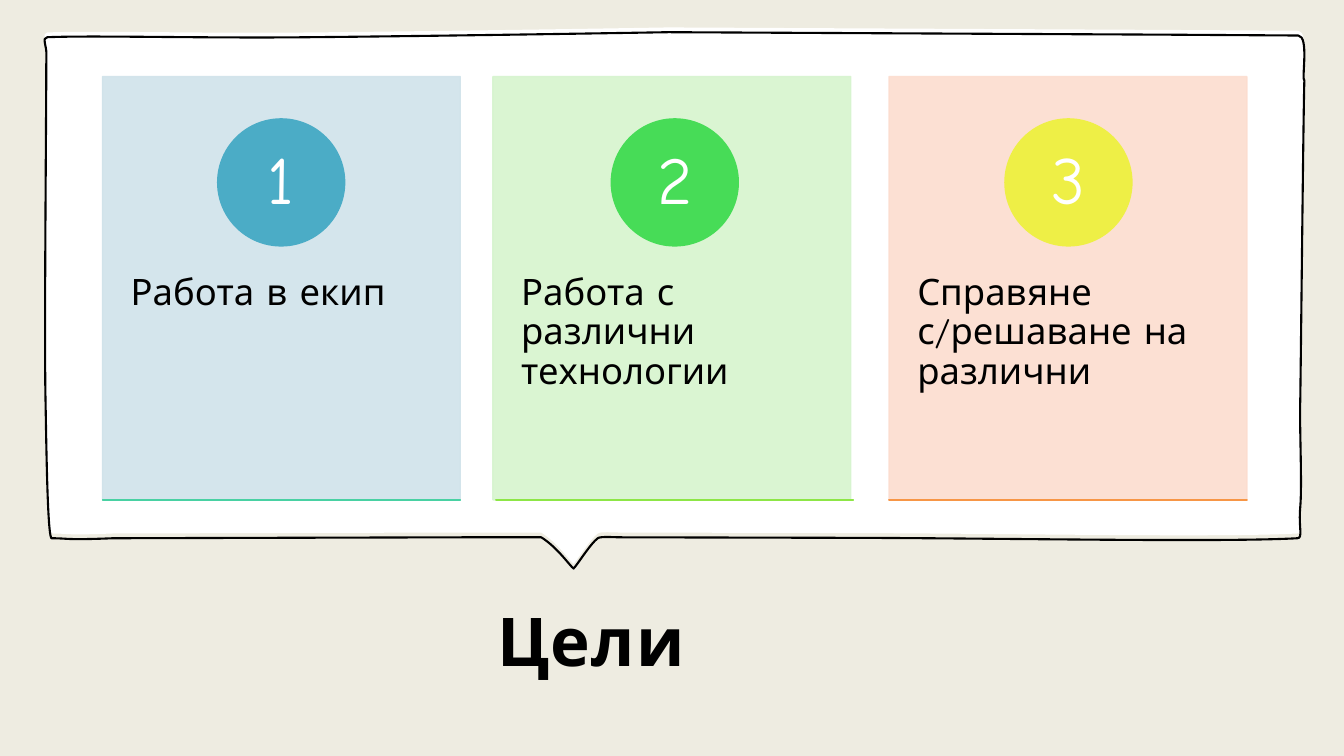
from lxml import etree
from pptx import Presentation
from pptx import util as u
from pptx.dml.color import RGBColor
from pptx.enum import shapes, text
from pptx.oxml.ns import qn

Pt = u.Pt
FONT = "Comic Neue"
BACKGROUND = RGBColor(0xEE, 0xEC, 0xE1)
BLACK = RGBColor(0, 0, 0)
WHITE = RGBColor(255, 255, 255)

TITLE = "Цели"
# Text, card left, underline left, card colour, badge colour, underline colour
GOALS = [
    ("Работа в екип", 73.2, 73.2, RGBColor(0xD0, 0xE3, 0xEA),
     RGBColor(0x4B, 0xAC, 0xC6), RGBColor(0x49, 0xD1, 0xA3)),
    ("Работа с различни технологии", 352.08, 354.24, RGBColor(0xD6, 0xF4, 0xCE),
     RGBColor(0x47, 0xDC, 0x57), RGBColor(0x8D, 0xE6, 0x46)),
    ("Справяне с/решаване на различни", 635.04, 635.04, RGBColor(0xFC, 0xDD, 0xCF),
     RGBColor(0xEE, 0xEF, 0x46), RGBColor(0xF7, 0x96, 0x46)),
]
CARD_TOP, CARD_WIDTH, CARD_HEIGHT = 54.72, 255.6, 302.4
TEXT_TOP, TEXT_HEIGHT = 169.92, 181.44
BADGE_LEFT, BADGE_PITCH, BADGE_TOP, BADGE_SIZE = 155.52, 281.16, 84.96, 90.72
NUMBER_INSET = 13.32

# Speech bubble outline: two numbers are a line, six are a Bezier curve
BUBBLE_START = (835.2, 24.8)
BUBBLE = [
    (927.4, 25.4),
    (935.3, 25.9, 929.5, 56.9, 931.7, 57.6),
    (931, 79.9, 929.5, 234.7, 928.8, 285.8),
    (928.1, 302.4, 930.2, 344.9, 928.8, 362.2),
    (927.4, 376.6, 931, 384.5, 926.6, 384.5),
    (873.4, 387.4, 717.8, 384.5, 612, 384.2),
    (442.8, 383.8),
    (439.2, 383.8, 428.4, 383, 427, 384.5),
    (421.9, 388.1, 412.6, 403.2, 409.7, 406.1),
    (406.8, 403.9, 398.2, 391, 386.6, 383.8),
    (380.9, 383.8, 355, 383.8, 331.2, 383.8),
    (80.6, 384.5),
    (45.4, 385.9, 49.7, 384.5, 36.7, 384.5),
    (33.8, 380.2, 33.1, 315.4, 32.4, 279.4),
    (31.7, 221.8, 33.1, 81.4, 33.1, 39.6),
    (33.8, 33.8, 29.5, 26.6, 33.8, 26.6),
    (65.5, 25.2, 146.2, 27.4, 219.6, 26.6),
    (293.8, 25.9, 391, 24.5, 477.4, 23),
    BUBBLE_START,
]
BUBBLE_FILL_SHIFT = -3.4
UNITS = 100  # outline units per point


def paint(shape, fill=None, line=None, width=1.0, opacity=None):
    shape.shadow.inherit = False
    for fill_format, color in ((shape.fill, fill), (shape.line.fill, line)):
        if color is None:
            fill_format.background()
        else:
            fill_format.solid()
            fill_format.fore_color.rgb = color
    if line is not None:
        shape.line.width = Pt(width)
    if opacity is not None:
        for color in list(shape._element.spPr.iter(qn("a:srgbClr"))):
            etree.SubElement(color, qn("a:alpha")).set("val", str(opacity * 1000))


def add_bubble(shift=0.0, **style):
    ends = [(x * UNITS, (y + shift) * UNITS)
            for x, y in [BUBBLE_START] + [segment[-2:] for segment in BUBBLE]]
    builder = slide.shapes.build_freeform(*ends[0], scale=Pt(1) / UNITS)
    builder.add_line_segments(ends[1:], close=True)
    shape = builder.convert_to_shape()
    left, top = (min(values) for values in zip(*ends))

    # Bend the straight segments that have control points
    lines = list(shape._element.spPr.iter(qn("a:lnTo")))
    for line, segment in zip(lines, BUBBLE):
        if len(segment) == 6:
            line.tag = qn("a:cubicBezTo")
            for position in (0, 1):
                x, y = segment[2 * position:2 * position + 2]
                point = etree.Element(qn("a:pt"), x=str(round(x * UNITS - left)),
                                      y=str(round((y + shift) * UNITS - top)))
                line.insert(position, point)
    paint(shape, **style)


def add_preset(kind, left, top, width, height, **style):
    shape = slide.shapes.add_shape(kind, Pt(left), Pt(top), Pt(width), Pt(height))
    paint(shape, **style)


def write(shape, content, size, color=BLACK, bold=False, align=None,
          anchor=text.MSO_ANCHOR.TOP, insets=(7.2, 3.6), spacing=None, tracking=None):
    frame = shape.text_frame
    frame.word_wrap = True
    frame.auto_size = text.MSO_AUTO_SIZE.NONE
    frame.vertical_anchor = anchor
    frame.margin_left = frame.margin_right = Pt(insets[0])
    frame.margin_top = frame.margin_bottom = Pt(insets[1])
    paragraph = frame.paragraphs[0]
    paragraph.alignment = align
    paragraph.line_spacing = spacing
    run = paragraph.add_run()
    run.text = content
    run.font.name, run.font.size, run.font.bold = FONT, Pt(size), bold
    run.font.color.rgb = color
    if tracking is not None:
        run.font._element.set("spc", str(tracking * 100))


presentation = Presentation()
presentation.slide_width, presentation.slide_height = Pt(960), Pt(540)
slide = presentation.slides.add_slide(presentation.slide_layouts[5])
slide.background.fill.solid()
slide.background.fill.fore_color.rgb = BACKGROUND

# Title
title = slide.shapes.title
title.left, title.top, title.width, title.height = Pt(37.44), Pt(416.16), Pt(769.68), Pt(81.36)
write(title, TITLE, 48, bold=True, align=text.PP_ALIGN.CENTER,
      anchor=text.MSO_ANCHOR.MIDDLE, tracking=1)

# Speech bubble: white body, then a slightly lower outline
add_bubble(shift=BUBBLE_FILL_SHIFT, fill=WHITE)
add_bubble(line=BLACK, width=1.5)

# Numbered goal cards
for index, (goal, left, line_left, card_color, badge_color, line_color) in enumerate(GOALS):
    add_preset(shapes.MSO_SHAPE.RECTANGLE, left, CARD_TOP, CARD_WIDTH, CARD_HEIGHT,
               fill=card_color, line=card_color, opacity=90)
    goal_box = slide.shapes.add_textbox(Pt(left), Pt(TEXT_TOP), Pt(CARD_WIDTH), Pt(TEXT_HEIGHT))
    write(goal_box, goal, 26, insets=(20.16, 25.92), spacing=0.9)

    badge_left = BADGE_LEFT + index * BADGE_PITCH
    add_preset(shapes.MSO_SHAPE.OVAL, badge_left, BADGE_TOP, BADGE_SIZE, BADGE_SIZE,
               fill=badge_color, line=badge_color)
    number_size = BADGE_SIZE - 2 * NUMBER_INSET
    number_box = slide.shapes.add_textbox(
        Pt(badge_left + NUMBER_INSET), Pt(BADGE_TOP + NUMBER_INSET),
        Pt(number_size), Pt(number_size))
    write(number_box, str(index + 1), 48, color=WHITE, align=text.PP_ALIGN.CENTER,
          anchor=text.MSO_ANCHOR.MIDDLE, insets=(7.2, 0.72), spacing=0.9)

    # Underline: a rectangle without height
    add_preset(shapes.MSO_SHAPE.RECTANGLE, line_left, CARD_TOP + CARD_HEIGHT, CARD_WIDTH, 0,
               fill=line_color, line=line_color)

presentation.save("out.pptx")
